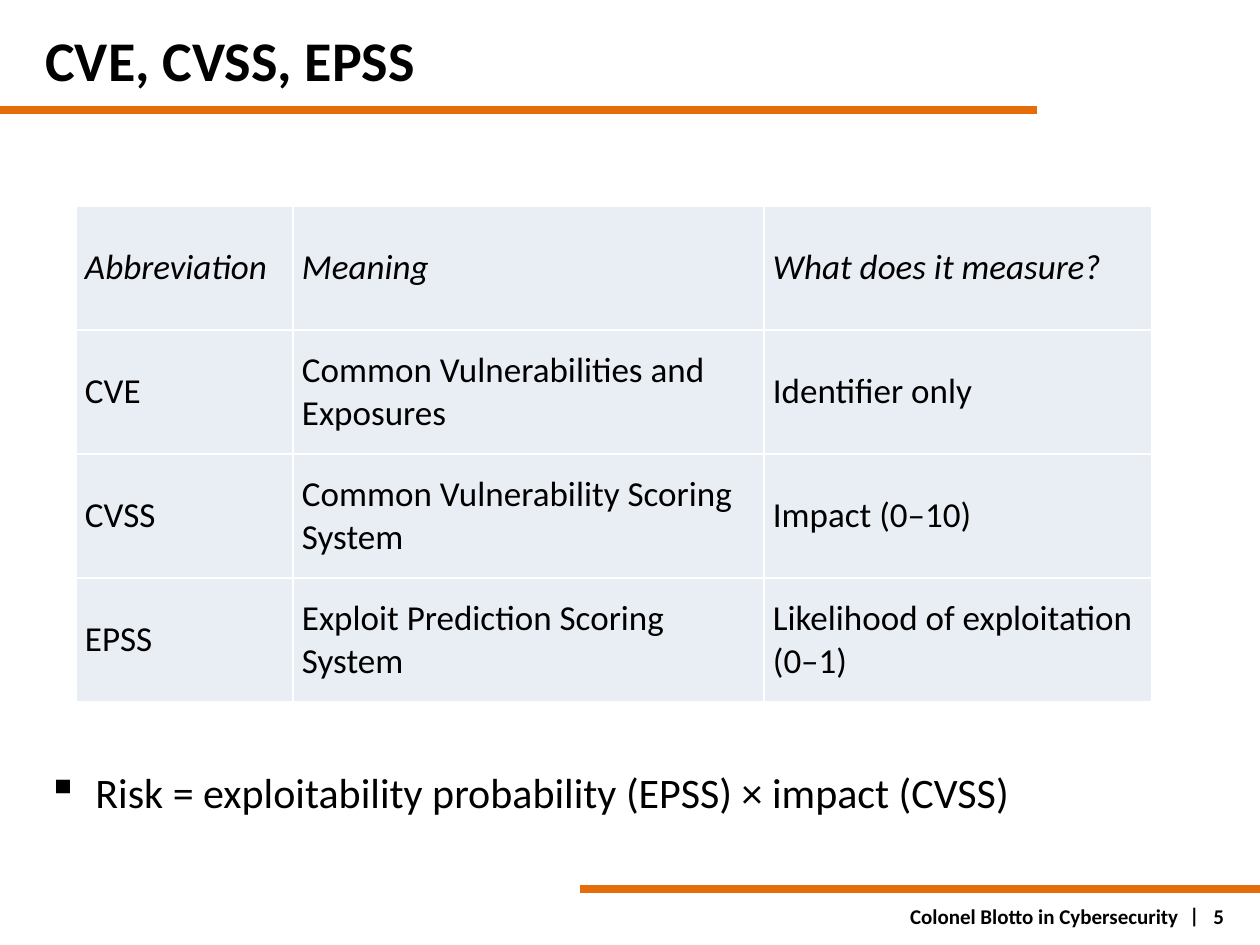
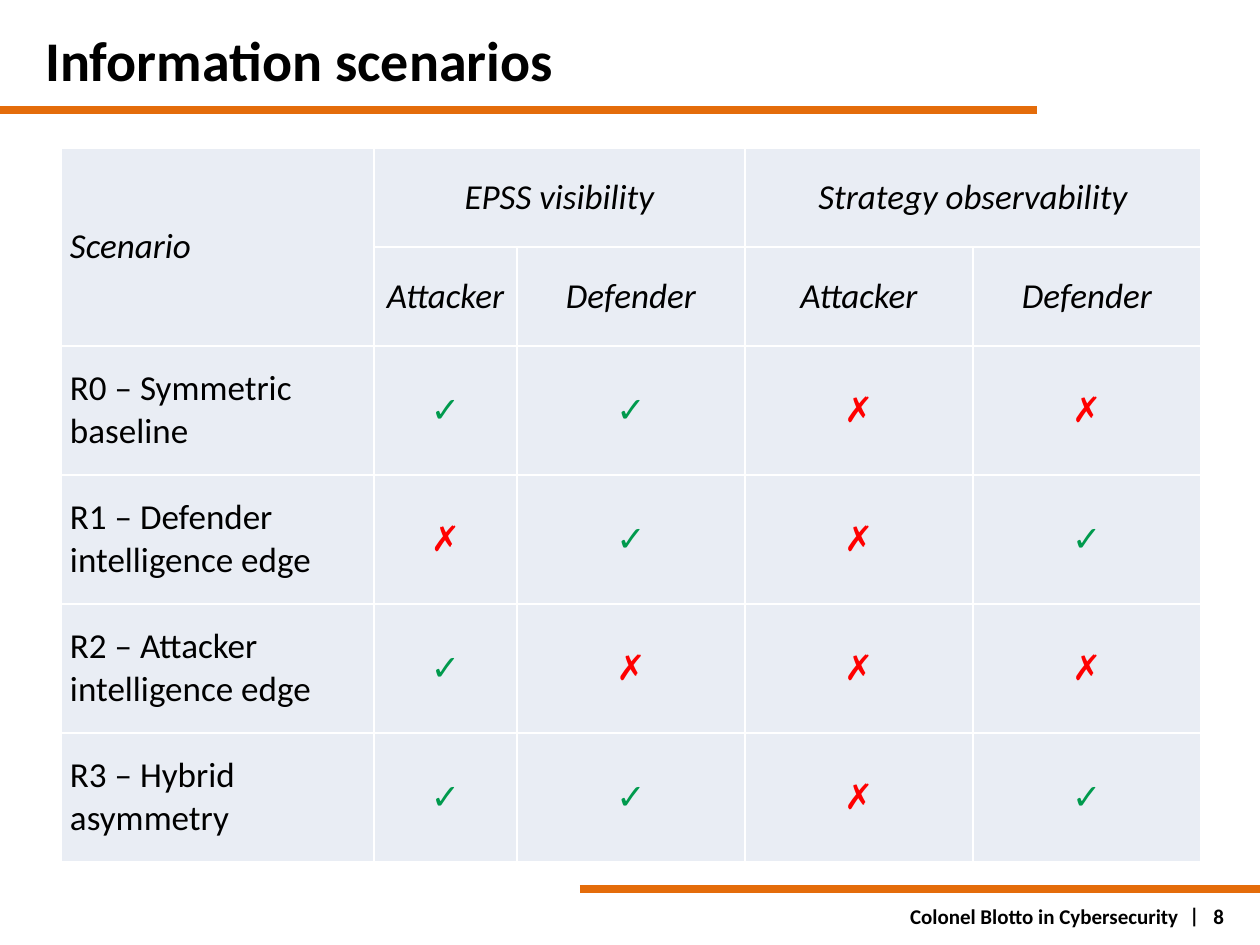
import dataclasses

import lxml.etree
import pptx
import pptx.dml.color
import pptx.enum.shapes
import pptx.enum.text
import pptx.oxml.ns
import pptx.util

EMU_PER_PX = 914400 / 126
SLIDE_WIDTH, SLIDE_HEIGHT = 1260, 945
ALIGN = pptx.enum.text.PP_ALIGN
ANCHOR = pptx.enum.text.MSO_ANCHOR


@dataclasses.dataclass(frozen=True)
class Theme:
    font: str = "Calibri"
    text: str = "000000"
    background: str = "FFFFFF"
    accent: str = "E46C0A"
    cell: str = "E9EDF4"
    border: str = "FFFFFF"
    yes: str = "009A4D"
    no: str = "FF0000"
    title_size: int = 32
    body_size: int = 24
    table_size: int = 20
    footer_size: int = 12
    rule_width: float = 4.5
    border_width: int = 1


THEME = Theme()
MARK_COLORS = {"✓": THEME.yes, "✗": THEME.no}


def px(length):
    return pptx.util.Emu(round(length * EMU_PER_PX))


def rgb(color):
    return pptx.dml.color.RGBColor.from_string(color)


def add_element(parent, tag, **attributes):
    return lxml.etree.SubElement(parent, pptx.oxml.ns.qn(tag), attributes)


def write(text_frame, text, size, bold=False, italic=False,
          color=THEME.text, align=ALIGN.LEFT):
    """Fill the frame with one formatted paragraph and return it."""
    text_frame.text = text
    paragraph = text_frame.paragraphs[0]
    paragraph.alignment = align
    for run in paragraph.runs:
        run.font.name = THEME.font
        run.font.size = pptx.util.Pt(size)
        run.font.bold = bold
        run.font.italic = italic
        run.font.color.rgb = rgb(color)
    return paragraph


def add_text(slide, box, text, size, anchor=ANCHOR.MIDDLE, wrap=True, **style):
    shape = slide.shapes.add_textbox(*map(px, box))
    shape.text_frame.word_wrap = wrap
    shape.text_frame.vertical_anchor = anchor
    return write(shape.text_frame, text, size, **style)


def add_rule(slide, left, right, y):
    rule = slide.shapes.add_connector(
        pptx.enum.shapes.MSO_CONNECTOR.STRAIGHT, px(left), px(y), px(right), px(y))
    rule.line.color.rgb = rgb(THEME.accent)
    rule.line.width = pptx.util.Pt(THEME.rule_width)
    add_element(rule._element.spPr, "a:effectLst")


def add_header(slide, title):
    add_rule(slide, 0, 1037, 110)
    add_text(slide, (33, 16, 984, 87), title, THEME.title_size, bold=True)


def add_footer(slide, number):
    top, height = 896, 40
    add_rule(slide, 580, SLIDE_WIDTH, 889)
    add_text(slide, (614, top, 577, height), "Colonel Blotto in Cybersecurity",
             THEME.footer_size, bold=True, align=ALIGN.RIGHT)
    add_text(slide, (1177, top, 35, 38), "|", THEME.footer_size,
             anchor=ANCHOR.TOP, wrap=False, bold=True)
    add_text(slide, (1201, top, 59, height), str(number), THEME.footer_size, bold=True)


def add_bullet(slide, box, text):
    paragraph = add_text(slide, box, text, THEME.body_size, anchor=ANCHOR.TOP)
    properties = paragraph._p.get_or_add_pPr()
    indent = px(48)
    properties.set("marL", str(indent))
    properties.set("indent", str(-indent))
    add_element(properties, "a:buChar", char="▪")


def style_cell(cell):
    cell.vertical_anchor = ANCHOR.MIDDLE
    cell.margin_left = cell.margin_right = px(9)
    cell.margin_top = cell.margin_bottom = px(5)
    properties = cell._tc.get_or_add_tcPr()
    for side in ("L", "R", "T", "B"):
        line = add_element(properties, f"a:ln{side}",
                           w=str(pptx.util.Pt(THEME.border_width)))
        add_element(add_element(line, "a:solidFill"), "a:srgbClr", val=THEME.border)
    cell.fill.solid()
    cell.fill.fore_color.rgb = rgb(THEME.cell)


def add_grid(slide, left, top, widths, heights, rows, header_rows=1,
             centered_from=None, merges=()):
    """Draw a table; merges lists pairs of corner cells as (row, column)."""
    if centered_from is None:
        centered_from = len(widths)
    table = slide.shapes.add_table(
        len(heights), len(widths), px(left), px(top),
        px(sum(widths)), px(sum(heights))).table
    table.first_row = table.horz_banding = False
    for column, width in zip(table.columns, widths):
        column.width = px(width)
    for row, height in zip(table.rows, heights):
        row.height = px(height)
    for row_index, texts in enumerate(rows):
        for column_index, text in enumerate(texts):
            cell = table.cell(row_index, column_index)
            style_cell(cell)
            write(cell.text_frame, text, THEME.table_size,
                  italic=row_index < header_rows,
                  color=MARK_COLORS.get(text, THEME.text),
                  align=ALIGN.CENTER if column_index >= centered_from else ALIGN.LEFT)
    for first, last in merges:
        table.cell(*first).merge(table.cell(*last))


def add_base_slide(presentation, title, number):
    slide = presentation.slides.add_slide(presentation.slide_layouts[6])
    slide.background.fill.solid()
    slide.background.fill.fore_color.rgb = rgb(THEME.background)
    add_header(slide, title)
    add_footer(slide, number)
    return slide


def add_abbreviations_slide(presentation):
    slide = add_base_slide(presentation, "CVE, CVSS, EPSS", 5)
    rows = [
        ("Abbreviation", "Meaning", "What does it measure?"),
        ("CVE", "Common Vulnerabilities and Exposures", "Identifier only"),
        ("CVSS", "Common Vulnerability Scoring System", "Impact (0–10)"),
        ("EPSS", "Exploit Prediction Scoring System",
         "Likelihood of exploitation (0–1)"),
    ]
    add_grid(slide, 76, 206, (217, 471, 388), [124] * len(rows), rows)
    add_bullet(slide, (35, 760, 1162, 110),
               "Risk = exploitability probability (EPSS) × impact (CVSS)")


def add_scenarios_slide(presentation):
    slide = add_base_slide(presentation, "Information scenarios", 8)
    scenarios = [
        ("R0 – Symmetric baseline", "✓✓✗✗"),
        ("R1 – Defender intelligence edge", "✗✓✗✓"),
        ("R2 – Attacker intelligence edge", "✓✗✗✗"),
        ("R3 – Hybrid asymmetry", "✓✓✗✓"),
    ]
    rows = [
        ("Scenario", "EPSS visibility", "", "Strategy observability", ""),
        ("", *("Attacker", "Defender") * 2),
        *((name, *marks) for name, marks in scenarios),
    ]
    add_grid(slide, 61, 148, [313, 143] + [228] * 3,
             [99] * 2 + [129] * len(scenarios), rows, header_rows=2, centered_from=1,
             merges=[((0, 0), (1, 0)), ((0, 1), (0, 2)), ((0, 3), (0, 4))])


def main():
    presentation = pptx.Presentation()
    presentation.slide_width = px(SLIDE_WIDTH)
    presentation.slide_height = px(SLIDE_HEIGHT)
    add_abbreviations_slide(presentation)
    add_scenarios_slide(presentation)
    presentation.save("out.pptx")


if __name__ == "__main__":
    main()
